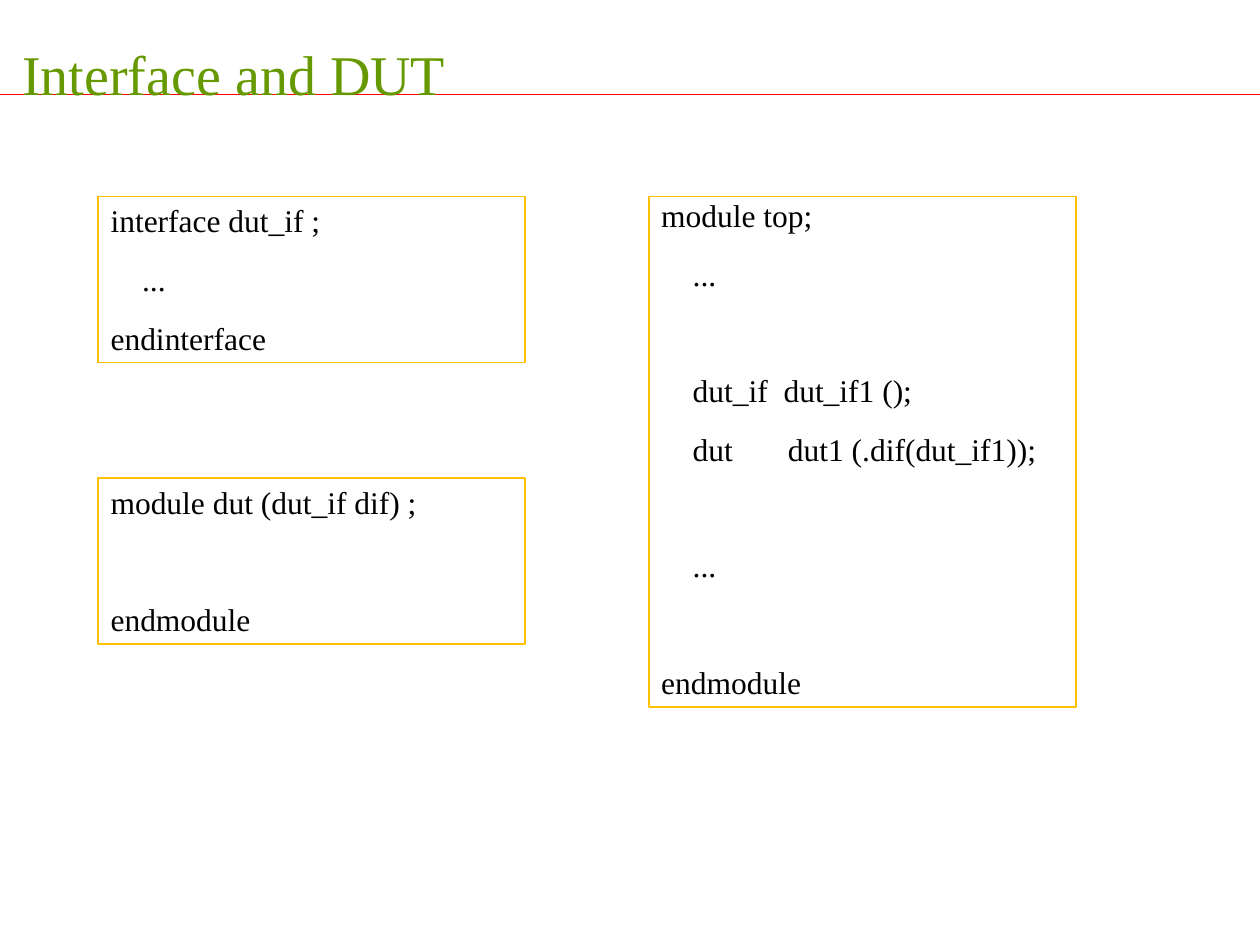
from dataclasses import dataclass

from lxml.etree import SubElement
from pptx import Presentation
from pptx.dml.color import RGBColor as RGB
from pptx.enum.shapes import MSO_CONNECTOR as Connector, MSO_SHAPE as Shape
from pptx.enum.text import MSO_ANCHOR as Anchor, PP_ALIGN as Align
from pptx.oxml.ns import qn
from pptx.util import Cm, Pt


@dataclass(frozen=True)
class Theme:
    font: str = "Times New Roman"
    title_color: RGB = RGB(0x66, 0x99, 0x00)
    rule_color: RGB = RGB(0xFF, 0x00, 0x00)
    border_color: RGB = RGB(0xFF, 0xC0, 0x00)
    code_color: RGB = RGB(0x00, 0x00, 0x00)
    title_size: Pt = Pt(32)
    code_size: Pt = Pt(18)
    line_gap: Pt = Pt(12.1)
    line_pitch: Pt = Pt(32.8)


THEME = Theme()


def add_run(paragraph, text, size, color):
    run = paragraph.add_run()
    run.text = text
    run.font.name = THEME.font
    run.font.size = size
    run.font.color.rgb = color


def add_rule(slide, top, width):
    rule = slide.shapes.add_connector(Connector.STRAIGHT, 0, top, width, top)
    rule.line.color.rgb = THEME.rule_color
    rule.line.width = Pt(0.75)
    SubElement(rule._element.spPr, qn("a:effectLst"))


def add_title(slide, text):
    title = slide.shapes.add_textbox(Cm(0.2), Cm(0.64), Cm(18.85), Cm(1.63))
    frame = title.text_frame
    frame.word_wrap = True
    frame.vertical_anchor = Anchor.BOTTOM
    add_run(frame.paragraphs[0], text, THEME.title_size, THEME.title_color)


def add_code_box(slide, left, top, height, lines, align=Align.JUSTIFY):
    """Frame code lines; an empty line widens the gap above the next one."""
    box = slide.shapes.add_shape(Shape.RECTANGLE, left, top, Cm(8.61), height)
    box.shadow.inherit = False
    box.fill.background()
    box.line.color.rgb = THEME.border_color
    box.line.width = Pt(1)

    frame = box.text_frame
    frame.word_wrap = True
    frame.vertical_anchor = Anchor.BOTTOM
    skipped = 0
    for index, line in enumerate(lines):
        if not line:
            skipped += 1
            continue
        paragraph = frame.add_paragraph() if index else frame.paragraphs[0]
        paragraph.alignment = align
        if index:
            paragraph.space_before = THEME.line_gap + skipped * THEME.line_pitch
        add_run(paragraph, line, THEME.code_size, THEME.code_color)
        skipped = 0


def main():
    deck = Presentation()
    deck.slide_width, deck.slide_height = Cm(25.4), Cm(19.05)
    slide = deck.slides.add_slide(deck.slide_layouts[6])

    # Heading
    add_rule(slide, Cm(1.9), deck.slide_width)
    add_title(slide, "Interface and DUT")

    # Interface and design under test
    left_column, right_column = Cm(1.98), Cm(13.08)
    first_row, second_row = Cm(3.96), Cm(9.63)
    short_box, tall_box = Cm(3.35), Cm(10.29)
    add_code_box(slide, left_column, first_row, short_box,
                 ["interface dut_if ;", "    ...", "endinterface"])
    add_code_box(slide, left_column, second_row, short_box,
                 ["module dut (dut_if dif) ;", "", "endmodule"], Align.LEFT)

    # Top module that connects them
    add_code_box(slide, right_column, first_row, tall_box, [
        "module top;",
        "    ...",
        "",
        "    dut_if  dut_if1 ();",
        "    dut       dut1 (.dif(dut_if1));",
        "",
        "    ...",
        "",
        "endmodule",
    ])

    deck.save("out.pptx")


if __name__ == "__main__":
    main()
